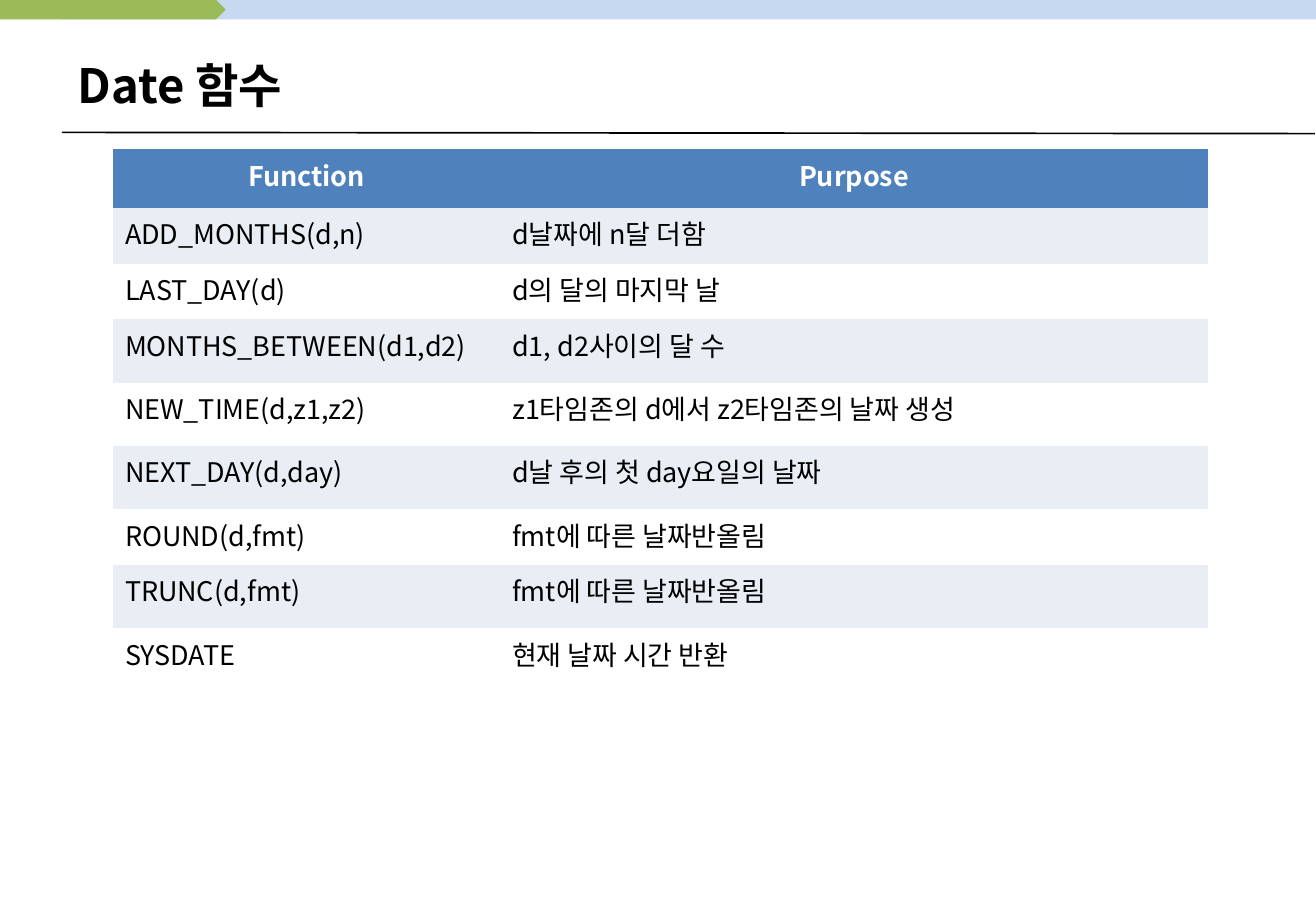
from pptx import Presentation
from pptx.dml.color import RGBColor
from pptx.enum.shapes import MSO_CONNECTOR, MSO_SHAPE
from pptx.enum.text import MSO_ANCHOR, PP_ALIGN
from pptx.oxml.ns import qn
from pptx.util import Inches, Pt
from lxml.etree import SubElement

FONT = "Noto Sans CJK KR"
TITLE = "Date 함수"
ROWS = [  # function, purpose, row height
    ("Function", "Purpose", 0.48),
    ("ADD_MONTHS(d,n)", "d날짜에 n달 더함", 0.46),
    ("LAST_DAY(d)", "d의 달의 마지막 날", 0.46),
    ("MONTHS_BETWEEN(d1,d2)", "d1, d2사이의 달 수", 0.52),
    ("NEW_TIME(d,z1,z2)", "z1타임존의 d에서 z2타임존의 날짜 생성", 0.52),
    ("NEXT_DAY(d,day)", "d날 후의 첫 day요일의 날짜", 0.52),
    ("ROUND(d,fmt)", "fmt에 따른 날짜반올림", 0.46),
    ("TRUNC(d,fmt)", "fmt에 따른 날짜반올림", 0.52),
    ("SYSDATE", "현재 날짜 시간 반환", 0.46),
]
COLS = [3.19, 5.83]
BARS = [  # preset, left, width, fill
    (MSO_SHAPE.RECTANGLE, 0.51, 10.33, "C6D9F1"),
    (MSO_SHAPE.PENTAGON, 0, 1.86, "9BBB59"),
]
PLAIN = "{2D5ABB26-0587-4C30-8999-92F81FD0307C}"  # no style, no grid


def paint(fmt, color):
    fmt.solid()
    fmt.fore_color.rgb = RGBColor.from_string(color)


def write(frame, text, size, color, bold, align):
    frame.text = text
    para = frame.paragraphs[0]
    para.alignment = align
    font = para.font
    font.name, font.size, font.bold = FONT, Pt(size), bold
    paint(font.fill, color)
    # Korean glyphs take the East Asian font
    props = para._p.pPr.find(qn("a:defRPr"))
    SubElement(props, qn("a:ea")).set("typeface", FONT)


prs = Presentation()
prs.slide_width, prs.slide_height = Inches(10.84), Inches(7.5)
slide = prs.slides.add_slide(prs.slide_layouts[5])
shapes = slide.shapes

# Top bars
for kind, left, width, color in BARS:
    bar = shapes.add_shape(kind, Inches(left), 0, Inches(width), Inches(0.16))
    bar.shadow.inherit = False
    paint(bar.fill, color)
    bar.line.fill.background()

# Rule below the title
rule = shapes.add_connector(MSO_CONNECTOR.STRAIGHT, Inches(0.51), Inches(1.09),
                            Inches(10.83), Inches(1.1))
paint(rule.line.fill, "000000")
rule.line.width = Pt(1)
SubElement(rule._element.spPr, qn("a:effectLst"))

# Title
title = shapes.title
title.left, title.top = Inches(0.54), Inches(0.3)
title.width, title.height = Inches(10.12), Inches(0.79)
title.text_frame.vertical_anchor = MSO_ANCHOR.MIDDLE
write(title.text_frame, TITLE, 28, "000000", True, PP_ALIGN.LEFT)

# Function table
high = sum(row[-1] for row in ROWS)
frame = shapes.add_table(len(ROWS), len(COLS), Inches(0.93), Inches(1.23),
                         Inches(sum(COLS)), Inches(high))
table = frame.table
table._tbl.tblPr.find(qn("a:tableStyleId")).text = PLAIN
for col, width in zip(table.columns, COLS):
    col.width = Inches(width)
for r, (*texts, height) in enumerate(ROWS):
    table.rows[r].height = Inches(height)
    head = r == 0
    fill = "4F81BD" if head else "E9EDF4" if r % 2 else "FFFFFF"
    for c, text in enumerate(texts):
        cell = table.cell(r, c)
        paint(cell.fill, fill)
        write(cell.text_frame, text, 16, "FFFFFF" if head else "000000", head,
              PP_ALIGN.CENTER if head else PP_ALIGN.LEFT)

prs.save("out.pptx")
